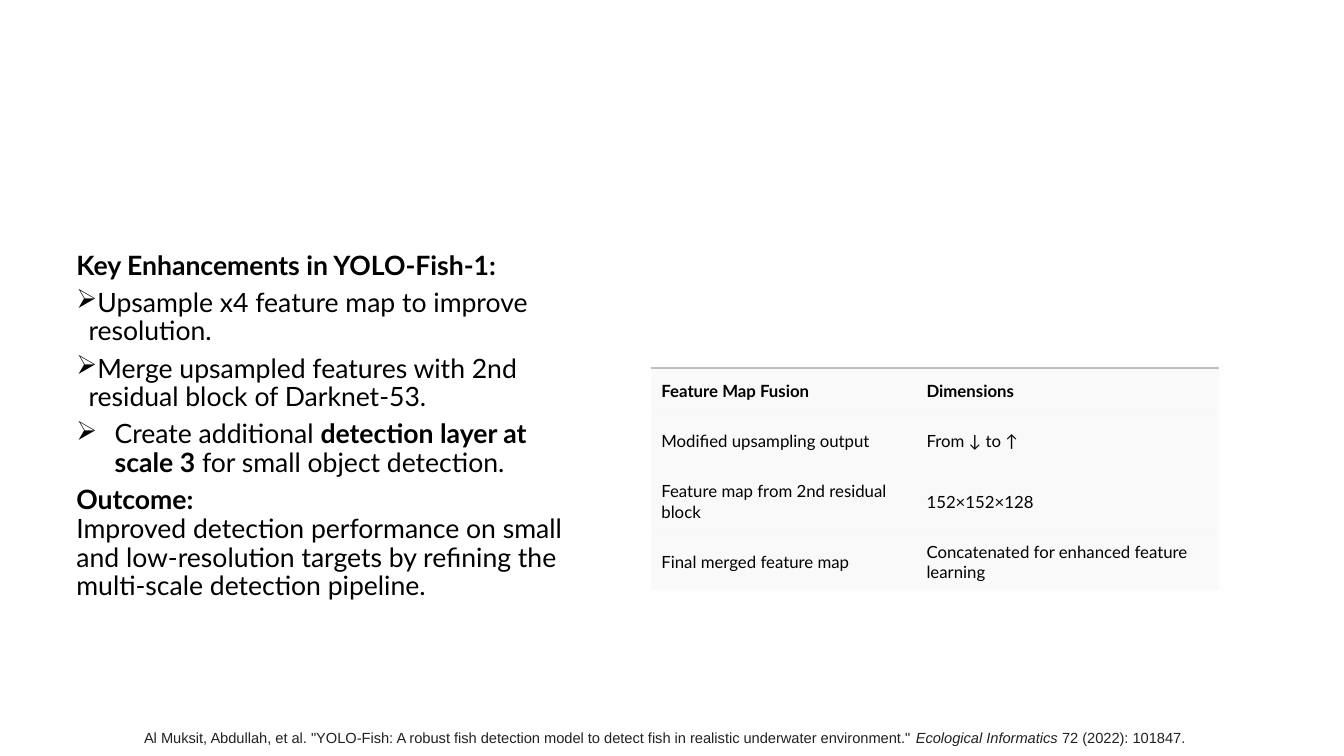
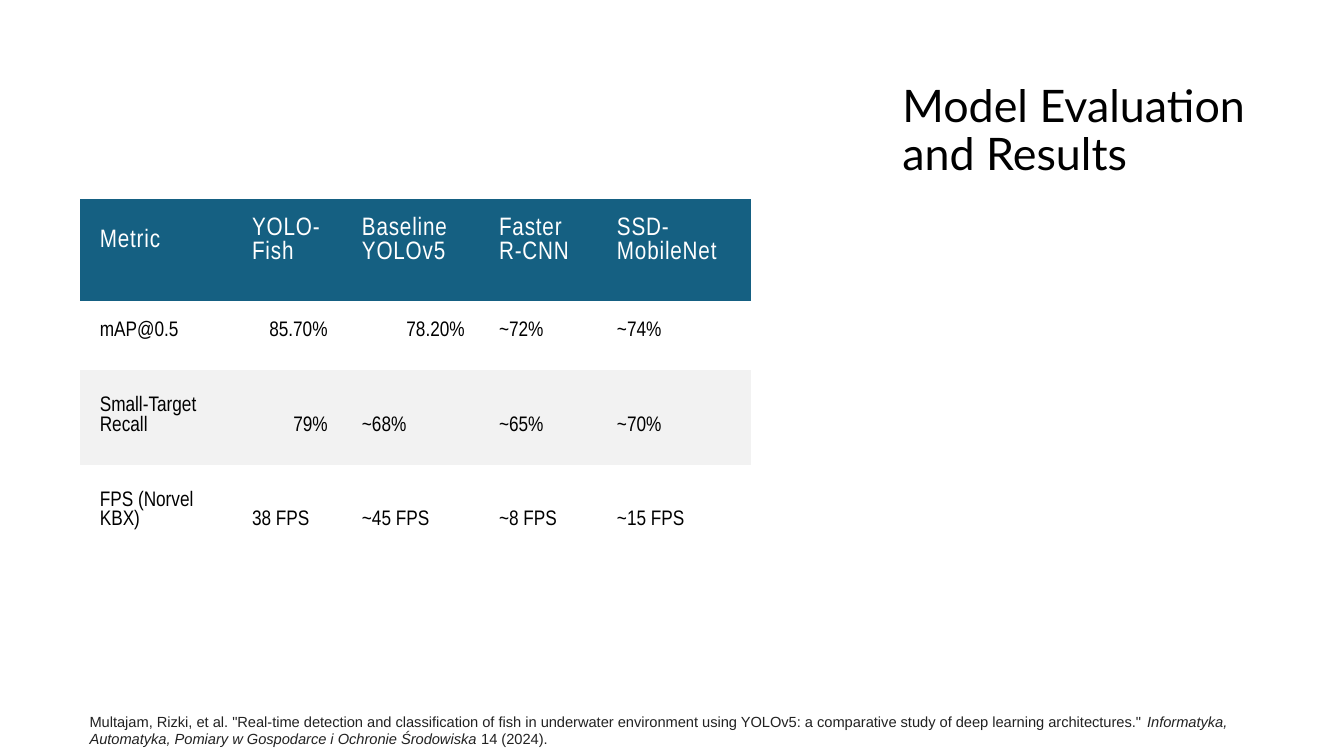
from lxml import etree
from pptx import Presentation
from pptx import util as u
from pptx.dml.color import RGBColor
from pptx.enum import text
from pptx.oxml import parse_xml
from pptx.oxml.ns import nsdecls, qn
from pptx.util import Inches

BLACK, WHITE, GREY, TEAL = "000000", "FFFFFF", "F2F2F2", "156082"
NO_STYLE = "{2D5ABB26-0587-4C30-8999-92F81FD0307C}"


def rgb(value):
    return RGBColor.from_string(value)


def write(p, words, size=19, font="Lato", color=BLACK, bold=False, italic=False, spacing=0):
    r = p.add_run()
    r.text = words
    r.font.size = u.Pt(size)
    r.font.name = font
    r.font.color.rgb = rgb(color)
    r.font.bold = bold
    r.font.italic = italic
    if spacing:
        r.font._element.set("spc", str(int(spacing * 100)))


prs = Presentation()
prs.slide_width, prs.slide_height = Inches(13.33), Inches(7.5)
fusion = prs.slides.add_slide(prs.slide_layouts[6])
results = prs.slides.add_slide(prs.slide_layouts[5])

s = results.shapes.title
s.left, s.top, s.width, s.height = Inches(8.85), Inches(0.78), Inches(3.77), Inches(4.27)
tf = s.text_frame
tf.auto_size = text.MSO_AUTO_SIZE.NONE
tf.vertical_anchor = text.MSO_ANCHOR.TOP
p = tf.paragraphs[0]
p.alignment = text.PP_ALIGN.LEFT
p.line_spacing = 0.9
write(p, "Model Evaluation and Results", size=32)

enhancements = [
    (None, [("Key Enhancements in YOLO-Fish-1:", True)]),
    (0.12, [("Upsample x4 feature map to improve resolution.", False)]),
    (0.12, [("Merge upsampled features with 2nd residual block of Darknet-53.", False)]),
    (0.38, [("Create additional ", False), ("detection layer at scale 3", True),
            (" for small object detection.", False)]),
    (None, [("Outcome:", True), None,
            ("Improved detection performance on small and low-resolution targets "
             "by refining the multi-scale detection pipeline.", False)]),
]
s = fusion.shapes.add_textbox(Inches(0.66), Inches(2.41), Inches(5.14), Inches(3.65))
tf = s.text_frame
tf.word_wrap = True
tf.vertical_anchor = text.MSO_ANCHOR.MIDDLE
for i, (margin, runs) in enumerate(enhancements):
    p = tf.add_paragraph() if i else tf.paragraphs[0]
    if margin:
        pPr = p._p.get_or_add_pPr()
        pPr.set("marL", str(Inches(margin)))
        pPr.set("indent", str(Inches(-0.38)))
        etree.SubElement(pPr, qn("a:buChar")).set("char", "➢")
    p.line_spacing = 0.9
    p.space_after = u.Pt(6)
    for run in runs:
        if run:
            write(p, run[0], bold=run[1])
        else:
            p.add_line_break()

fusion_rows = [
    ["Feature Map Fusion", "Dimensions"],
    ["Modified upsampling output", "From ↓ to ↑"],
    ["Feature map from 2nd residual block", "152×152×128"],
    ["Final merged feature map", "Concatenated for enhanced feature learning"],
]
metric_rows = [
    ["Metric", "YOLO-Fish", "Baseline YOLOv5", "Faster R-CNN", "SSD-MobileNet"],
    ["mAP@0.5", "85.70%", "78.20%", "~72%", "~74%"],
    ["Small-Target Recall", "79%", "~68%", "~65%", "~70%"],
    ["FPS (Norvel KBX)", "38 FPS", "~45 FPS", "~8 FPS", "~15 FPS"],
]
tables = [
    (fusion, fusion_rows, 6.46, 3.65, [2.63, 3], [0.4, 0.6, 0.6, 0.6], (0.1, 0.1, 0.1, 0.05)),
    (results, metric_rows, 0.79, 1.97, [1.51, 1.09, 1.36, 1.17, 1.53],
     [1.02, 0.68, 0.94, 0.94], (0.2, 0.11, 0.14, 0.29)),
]
for slide, rows, left, top, widths, heights, insets in tables:
    s = slide.shapes.add_table(len(rows), len(widths), Inches(left), Inches(top),
                               Inches(sum(widths)), Inches(sum(heights)))
    table = s.table
    next(s._element.iter(qn("a:tableStyleId"))).text = NO_STYLE
    for column, width in zip(table.columns, widths):
        column.width = Inches(width)
    for i, row in enumerate(rows):
        table.rows[i].height = Inches(heights[i])
        for j, words in enumerate(row):
            cell = table.cell(i, j)
            cell.margin_left, cell.margin_top, cell.margin_right, cell.margin_bottom = map(Inches, insets)
            cell.vertical_anchor = text.MSO_ANCHOR.MIDDLE
            p = cell.text_frame.paragraphs[0]
            if slide is fusion:
                write(p, words, size=12, bold=i == 0)
                fill = GREY
            elif i == 0:
                write(p, words, size=18, font="Arial Narrow", color=WHITE, spacing=0.6)
                fill = TEAL
            else:
                write(p, words, size=15, font="Arial Narrow")
                cell.vertical_anchor = text.MSO_ANCHOR.BOTTOM
                if words[0].isdigit() and words.endswith("%"):
                    p.alignment = text.PP_ALIGN.RIGHT
                fill = GREY if i == 2 else None
            if fill:
                cell.fill.solid()
                cell.fill.fore_color.rgb = rgb(fill)
            else:
                cell.fill.background()
            if slide is fusion:
                tcPr = cell._tc.get_or_add_tcPr()
                etree.SubElement(next(tcPr.iter(qn("a:srgbClr"))), qn("a:alpha")).set("val", "45000")
                if i == 0:
                    tcPr.insert(0, parse_xml(
                        f'<a:lnT {nsdecls("a")} w="12700"><a:solidFill>'
                        '<a:srgbClr val="BFBFBF"/></a:solidFill></a:lnT>'))

citations = [
    (fusion, 1.33, 7.18, 10.68, 0.28,
     'Al Muksit, Abdullah, et al. "YOLO-Fish: A robust fish detection model to detect fish '
     'in realistic underwater environment." ',
     "Ecological Informatics", " 72 (2022): 101847."),
    (results, 0.79, 7.02, 11.7, 0.47,
     'Multajam, Rizki, et al. "Real-time detection and classification of fish in underwater '
     'environment using YOLOv5: a comparative study of deep learning architectures." ',
     "Informatyka, Automatyka, Pomiary w Gospodarce i Ochronie Środowiska", " 14 (2024)."),
]
for slide, left, top, width, height, *parts in citations:
    s = slide.shapes.add_textbox(Inches(left), Inches(top), Inches(width), Inches(height))
    tf = s.text_frame
    tf.word_wrap = True
    tf.auto_size = text.MSO_AUTO_SIZE.SHAPE_TO_FIT_TEXT
    for i, words in enumerate(parts):
        write(tf.paragraphs[0], words, size=10.5, font="Arial", color="222222", italic=i == 1)

prs.save("out.pptx")
